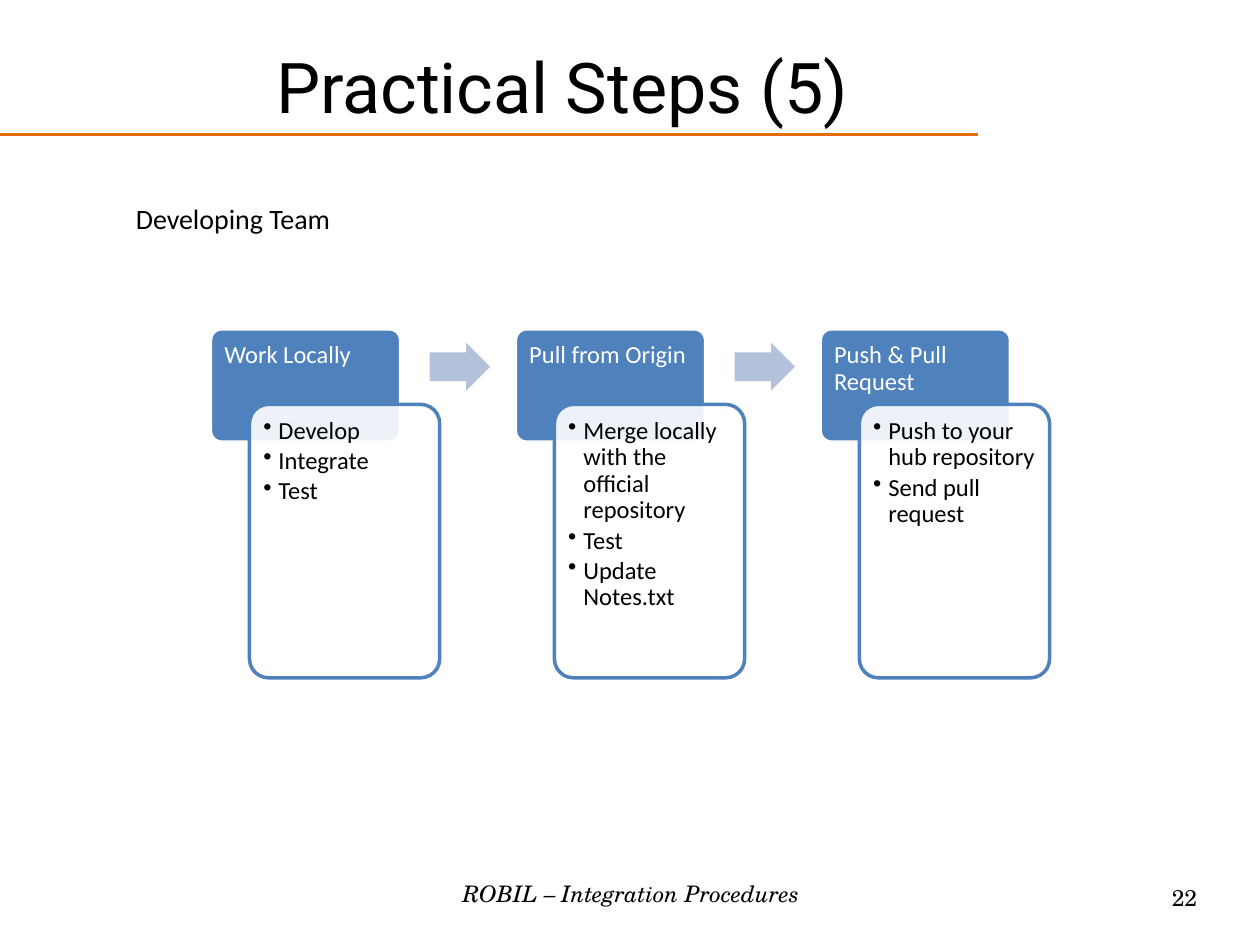
from dataclasses import dataclass
from typing import Optional

from lxml import etree
from pptx import Presentation
from pptx.dml.color import RGBColor
from pptx.enum import shapes, text
from pptx.oxml import ns
from pptx.util import Inches, Pt


@dataclass(frozen=True)
class Theme:
    black: str = "000000"
    white: str = "FFFFFF"
    blue: str = "4F81BD"
    pale_blue: str = "B3C1DB"
    orange: str = "E46C0A"
    title_font: str = "Roboto"
    body_font: str = "Calibri"
    footer_font: str = "TeX Gyre Schola"
    title_size: int = 40
    subtitle_size: int = 16
    body_size: int = 14
    footer_size: int = 13


@dataclass(frozen=True)
class Style:
    font: str
    size: int
    color: str = "000000"
    italic: bool = False


@dataclass(frozen=True)
class Box:
    left: float
    top: float
    width: float
    height: float

    def lengths(self):
        return [Inches(n) for n in (self.left, self.top, self.width, self.height)]


@dataclass(frozen=True)
class Step:
    heading: str
    tasks: tuple[str, ...]


THEME = Theme()
TITLE = Style(THEME.title_font, THEME.title_size)
SUBTITLE = Style(THEME.body_font, THEME.subtitle_size)
HEADING = Style(THEME.body_font, THEME.body_size, THEME.white)
TASK = Style(THEME.body_font, THEME.body_size)
FOOTER = Style(THEME.footer_font, THEME.footer_size, italic=True)
PAGE_NUMBER = Style(THEME.footer_font, THEME.footer_size)

STEPS = (
    Step("Work Locally", ("Develop", "Integrate", "Test")),
    Step("Pull from Origin", ("Merge locally with the official repository",
                              "Test", "Update Notes.txt")),
    Step("Push & Pull Request", ("Push to your hub repository", "Send pull request")),
)
STEP_LEFT, STEP_TOP, STEP_PITCH = 1.67, 2.61, 2.42
STEP_WIDTH, HEADER_HEIGHT, HEADING_HEIGHT = 1.51, 0.9, 0.6
CARD_SHIFT_X, CARD_SHIFT_Y, CARD_HEIGHT = 0.31, 0.6, 2.17
ARROW_SHIFT_X, ARROW_SHIFT_Y = 1.74, 0.11


def set_insets(frame, left: float, top: float, right: float, bottom: float) -> None:
    frame.margin_left, frame.margin_top = Inches(left), Inches(top)
    frame.margin_right, frame.margin_bottom = Inches(right), Inches(bottom)


def add_span(para, words: str, style: Style) -> None:
    span = para.add_run()
    span.text = words
    span.font.name = style.font
    span.font.size = Pt(style.size)
    span.font.italic = style.italic
    span.font.color.rgb = RGBColor.from_string(style.color)


def add_bullet(para) -> None:
    properties = para._p.get_or_add_pPr()
    properties.set("marL", str(Inches(0.12)))
    properties.set("indent", str(Inches(-0.12)))
    etree.SubElement(properties, ns.qn("a:buChar")).set("char", "•")


def add_text(page, box: Box, lines: tuple[str, ...], style: Style, insets=(0, 0, 0, 0),
             align=text.PP_ALIGN.LEFT, spacing: Optional[float] = None,
             after: float = 0, bullets: bool = False):
    frame = page.shapes.add_textbox(*box.lengths()).text_frame
    frame.word_wrap = True
    set_insets(frame, *insets)
    for index, line in enumerate(lines):
        para = frame.add_paragraph() if index else frame.paragraphs[0]
        para.alignment = align
        para.line_spacing = spacing
        para.space_after = Pt(after)
        if bullets:
            add_bullet(para)
        add_span(para, line, style)
    return frame


def add_shape(page, kind, box: Box, adjustments: tuple[float, ...], fill: str,
              line: Optional[str] = None, opacity: int = 100) -> None:
    shape = page.shapes.add_shape(kind, *box.lengths())
    shape.shadow.inherit = False
    for index, value in enumerate(adjustments):
        shape.adjustments[index] = value
    shape.fill.solid()
    shape.fill.fore_color.rgb = RGBColor.from_string(fill)
    if opacity < 100:
        color = shape._element.spPr.find(ns.qn("a:solidFill"))[0]
        etree.SubElement(color, ns.qn("a:alpha")).set("val", str(opacity * 1000))
    if line:
        shape.line.color.rgb = RGBColor.from_string(line)
        shape.line.width = Pt(2)
    else:
        shape.line.fill.background()


def add_step(page, step: Step, left: float) -> None:
    """Draw a heading block with its task card overlapping the lower right."""
    rounded = shapes.MSO_SHAPE.ROUNDED_RECTANGLE
    add_shape(page, rounded, Box(left, STEP_TOP, STEP_WIDTH, HEADER_HEIGHT), (0.1,),
              THEME.blue, THEME.white)
    add_text(page, Box(left, STEP_TOP, STEP_WIDTH, HEADING_HEIGHT), (step.heading,),
             HEADING, (0.11, 0.11, 0.11, 0.06), spacing=0.9, after=4.9)
    card = Box(left + CARD_SHIFT_X, STEP_TOP + CARD_SHIFT_Y, STEP_WIDTH, CARD_HEIGHT)
    add_shape(page, rounded, card, (0.1,), THEME.white, THEME.blue, opacity=90)
    add_text(page, card, step.tasks, TASK, (0.11,) * 4,
             spacing=0.9, after=2.1, bullets=True)


def add_title(page, words: str) -> None:
    title = page.shapes.title
    title.left, title.top, title.width, title.height = Box(-0.04, 0.05, 9, 1.25).lengths()
    frame = title.text_frame
    frame.auto_size = text.MSO_AUTO_SIZE.NONE
    frame.vertical_anchor = text.MSO_ANCHOR.MIDDLE
    set_insets(frame, 0, 0, 0, 0)
    frame.paragraphs[0].alignment = text.PP_ALIGN.CENTER
    add_span(frame.paragraphs[0], words, TITLE)


def add_title_rule(page) -> None:
    rule = page.shapes.add_connector(shapes.MSO_CONNECTOR.STRAIGHT, Inches(7.76),
                                     Inches(1.07), Inches(0), Inches(1.07))
    rule.line.color.rgb = RGBColor.from_string(THEME.orange)
    rule.line.width = Pt(1.5)
    etree.SubElement(rule._element.spPr, ns.qn("a:effectLst"))


def main() -> None:
    deck = Presentation()
    deck.slide_width, deck.slide_height = Inches(10), Inches(7.5)
    page = deck.slides.add_slide(deck.slide_layouts.get_by_name("Title Only"))

    add_title_rule(page)
    add_title(page, "Practical Steps (5)")
    add_text(page, Box(3.42, 6.98, 3.17, 0.52), ("ROBIL – Integration Procedures",),
             FOOTER, align=text.PP_ALIGN.CENTER)
    add_text(page, Box(7.17, 7.01, 2.33, 0.52), ("22",), PAGE_NUMBER,
             align=text.PP_ALIGN.RIGHT)

    for index, step in enumerate(STEPS):
        left = STEP_LEFT + index * STEP_PITCH
        add_step(page, step, left)
        if index < len(STEPS) - 1:
            arrow = Box(left + ARROW_SHIFT_X, STEP_TOP + ARROW_SHIFT_Y, 0.48, 0.38)
            add_shape(page, shapes.MSO_SHAPE.RIGHT_ARROW, arrow, (0.6, 0.5),
                      THEME.pale_blue)

    subtitle = add_text(page, Box(0.98, 1.55, 2.28, 0.37), ("Developing Team",),
                        SUBTITLE, (0.1, 0.05, 0.1, 0.05))
    subtitle.auto_size = text.MSO_AUTO_SIZE.SHAPE_TO_FIT_TEXT
    deck.save("out.pptx")


if __name__ == "__main__":
    main()
